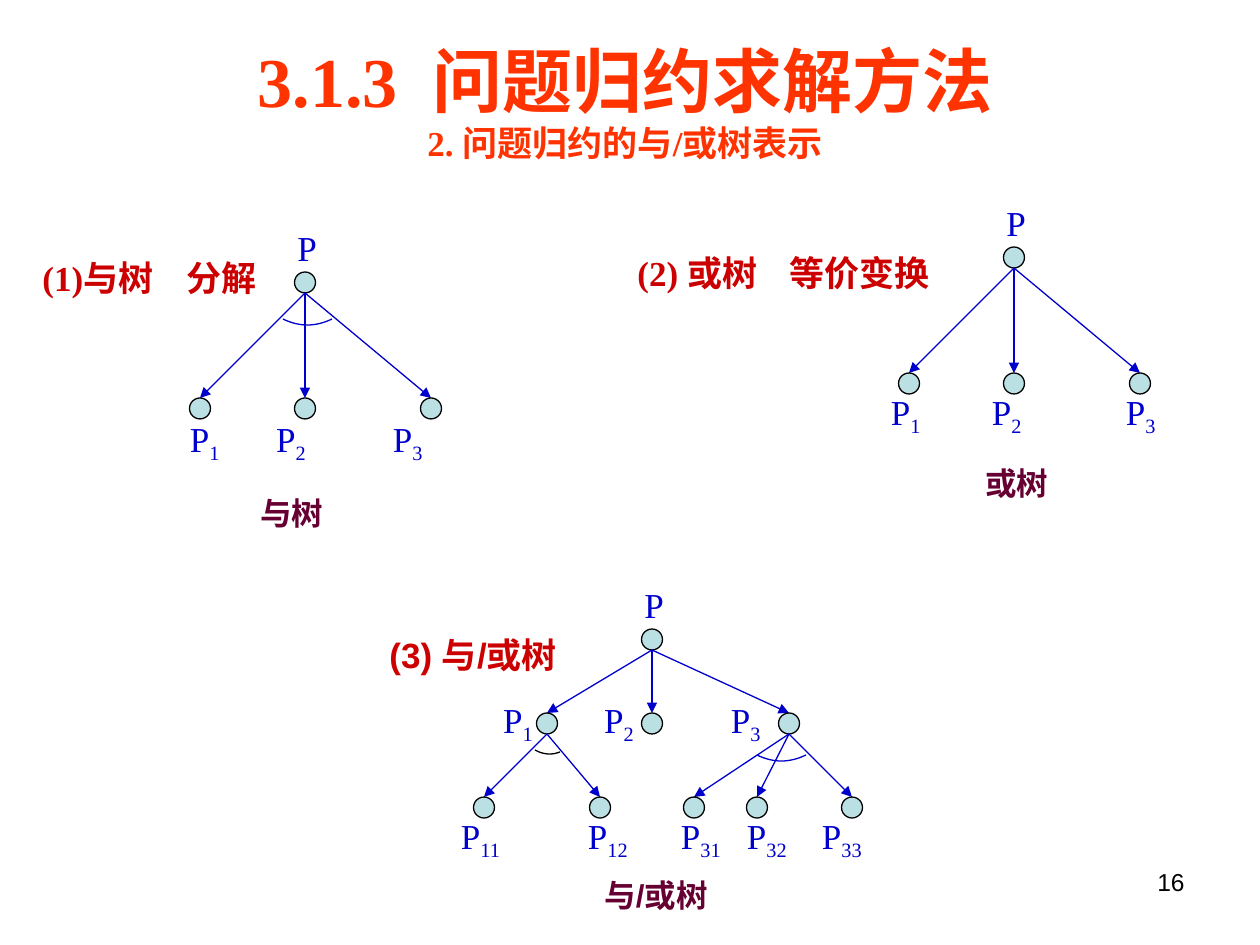
import pptx
import pptx.dml.color
import pptx.enum.shapes
import pptx.enum.text
import pptx.oxml.ns
import pptx.util
from lxml import etree

EMU_PER_PX = 914400 / 126
ALIGN = pptx.enum.text.PP_ALIGN
ANCHOR = pptx.enum.text.MSO_ANCHOR
SERIF, SANS = "Times New Roman", "Arial"
BLUE, RED, ORANGE, PLUM = "0000CC", "CC0000", "FF3300", "660033"
BLACK, PALE = "000000", "BBE0E3"
LABEL = {"size": 20, "name": SERIF, "color": BLUE}
HEADING = {"size": 20, "name": SERIF, "color": RED, "bold": True}
CAPTION = {"size": 18, "name": SANS, "color": PLUM, "bold": True}
TITLE = {"size": 40, "name": SERIF, "color": ORANGE, "bold": True}


def px(n):
    return pptx.util.Emu(round(n * EMU_PER_PX))


def rgb(value):
    return pptx.dml.color.RGBColor.from_string(value)


def add_xml(parent, tag, **attrs):
    return etree.SubElement(parent, pptx.oxml.ns.qn(tag), attrs)


class TreeSlide:
    node_size = 21
    line_width = pptx.util.Pt(0.75)

    def __init__(self, prs):
        self.s = prs.slides.add_slide(prs.slide_layouts[5])
        self.shapes = self.s.shapes

    def start_group(self):
        self.shapes = self.s.shapes.add_group_shape().shapes

    def end_group(self):
        self.shapes = self.s.shapes

    def run(self, p, text, style, **attrs):
        r = p.add_run()
        r.text = text
        for name, value in style.items():
            if name == "color":
                r.font.color.rgb = rgb(value)
            elif name == "size":
                r.font.size = pptx.util.Pt(value)
            else:
                setattr(r.font, name, value)
        for name, value in attrs.items():
            r.font._element.set(name, str(value))

    def tabs(self, p, stops):
        tab_list = add_xml(p._p.get_or_add_pPr(), "a:tabLst")
        for stop in stops:
            add_xml(tab_list, "a:tab", pos=str(px(stop)), algn="l")

    def box(self, x, y, w, h, anchor=ANCHOR.MIDDLE):
        sp = self.shapes.add_textbox(px(x), px(y), px(w), px(h))
        sp.text_frame.word_wrap = True
        sp.text_frame.vertical_anchor = anchor
        return sp.text_frame

    def text(self, x, y, w, h, text, style, align=ALIGN.LEFT, stops=(), anchor=ANCHOR.MIDDLE):
        p = self.box(x, y, w, h, anchor).paragraphs[0]
        p.alignment = align
        if stops:
            self.tabs(p, stops)
        self.run(p, text, style)

    def title(self, x, y, w, h, parts, subtitle):
        sp = self.s.shapes.title
        sp.left, sp.top, sp.width, sp.height = px(x), px(y), px(w), px(h)
        tf = sp.text_frame
        tf.auto_size = pptx.enum.text.MSO_AUTO_SIZE.NONE
        tf.vertical_anchor = ANCHOR.MIDDLE
        p = tf.paragraphs[0]
        number, heading = parts
        self.run(p, number, TITLE)
        self.run(p, " ", TITLE, spc=1000)
        self.run(p, heading, TITLE)
        sub = tf.add_paragraph()
        self.run(sub, subtitle, TITLE | {"size": 20})
        for p in tf.paragraphs:
            p.alignment = ALIGN.CENTER

    def labels(self, x, y, w, h, places):
        tf = self.box(x, y, w, h)
        p = tf.paragraphs[0]
        first = min(places.values())
        tf.margin_left = px(first - x)
        self.tabs(p, [place - first for place in places.values() if place > first])
        for index, place in places.items():
            self.run(p, "P" if place == first else "\tP", LABEL)
            self.run(p, index, LABEL, baseline=-25000)

    def node(self, cx, top):
        size = px(self.node_size)
        sp = self.shapes.add_shape(
            pptx.enum.shapes.MSO_SHAPE.OVAL, px(cx - self.node_size / 2), px(top), size, size)
        sp.shadow.inherit = False
        sp.fill.solid()
        sp.fill.fore_color.rgb = rgb(PALE)
        self.outline(sp, BLACK)

    def outline(self, sp, color):
        sp.line.color.rgb = rgb(color)
        sp.line.width = self.line_width

    def arrow(self, x1, y1, x2, y2):
        c = self.shapes.add_connector(
            pptx.enum.shapes.MSO_CONNECTOR.STRAIGHT, px(x1), px(y1), px(x2), px(y2))
        self.outline(c, BLUE)
        add_xml(c.line._get_or_add_ln(), "a:tailEnd", type="triangle")
        add_xml(c._element.spPr, "a:effectLst")

    def branch(self, cx, top, children, drop):
        for child in children:
            self.arrow(cx, top + self.node_size, child, top + drop)
            self.node(child, top + drop)

    def root(self, cx, top, children, drop):
        self.text(cx - 20, top - 52, 53, 55, "P", LABEL)
        self.node(cx, top)
        self.branch(cx, top, children, drop)

    def arc(self, x, y, w, rise, sag, color=BLUE, steps=16):
        points = []
        for i in range(steps + 1):
            t = i / steps
            points.append((px(x + w * t), px(y + rise * t + 4 * sag * t * (1 - t))))
        builder = self.shapes.build_freeform(*points[0])
        builder.add_line_segments(points[1:], close=False)
        sp = builder.convert_to_shape()
        sp.shadow.inherit = False
        sp.fill.background()
        self.outline(sp, color)


def main():
    prs = pptx.Presentation()
    prs.slide_width, prs.slide_height = px(1260), px(945)
    s = TreeSlide(prs)
    s.title(54, 31, 1142, 139, ("3.1.3", "问题归约求解方法"), "2. 问题归约的与/或树表示")

    for cx, top in ((305, 272), (1014, 247)):
        s.start_group()
        s.root(cx, top, (cx - 105, cx, cx + 126), 126)
        if cx == 305:
            s.arc(283, 319, 49, 0, 6)
            s.labels(169, 408, 347, 66, {"1": 190, "2": 276, "3": 393})
        else:
            s.labels(878, 384, 347, 60, {"1": 891, "2": 992, "3": 1126})
        s.end_group()

    s.start_group()
    s.root(652, 629, (547, 652, 789), 84)
    s.branch(547, 713, (484, 600), 84)
    s.branch(789, 713, (694, 757, 852), 84)
    s.arc(757, 755, 49, 0, 6)
    s.arc(535, 750, 25, 2, 3, BLACK)
    s.labels(474, 692, 420, 60, {"1": 503, "2": 604, "3": 731})
    s.labels(432, 808, 504, 60, {"11": 461, "12": 588, "31": 681, "32": 747, "33": 822})
    s.end_group()

    s.text(30, 250, 268, 55, "(1)与树\t分解", HEADING, stops=[144])
    s.text(625, 245, 348, 55, "(2) 或树\t等价变换", HEADING, stops=[152])
    s.text(377, 606, 208, 97, "(3) 与/或树", HEADING | {"name": SANS})
    s.text(248, 488, 115, 50, "与树", CAPTION)
    s.text(973, 458, 115, 50, "或树", CAPTION)
    s.text(520, 870, 272, 50, "与/或树", CAPTION, ALIGN.CENTER)
    s.text(903, 861, 294, 65, "16", {"size": 14, "name": SANS, "color": BLACK},
           ALIGN.RIGHT, anchor=ANCHOR.TOP)
    prs.save("out.pptx")


if __name__ == "__main__":
    main()
